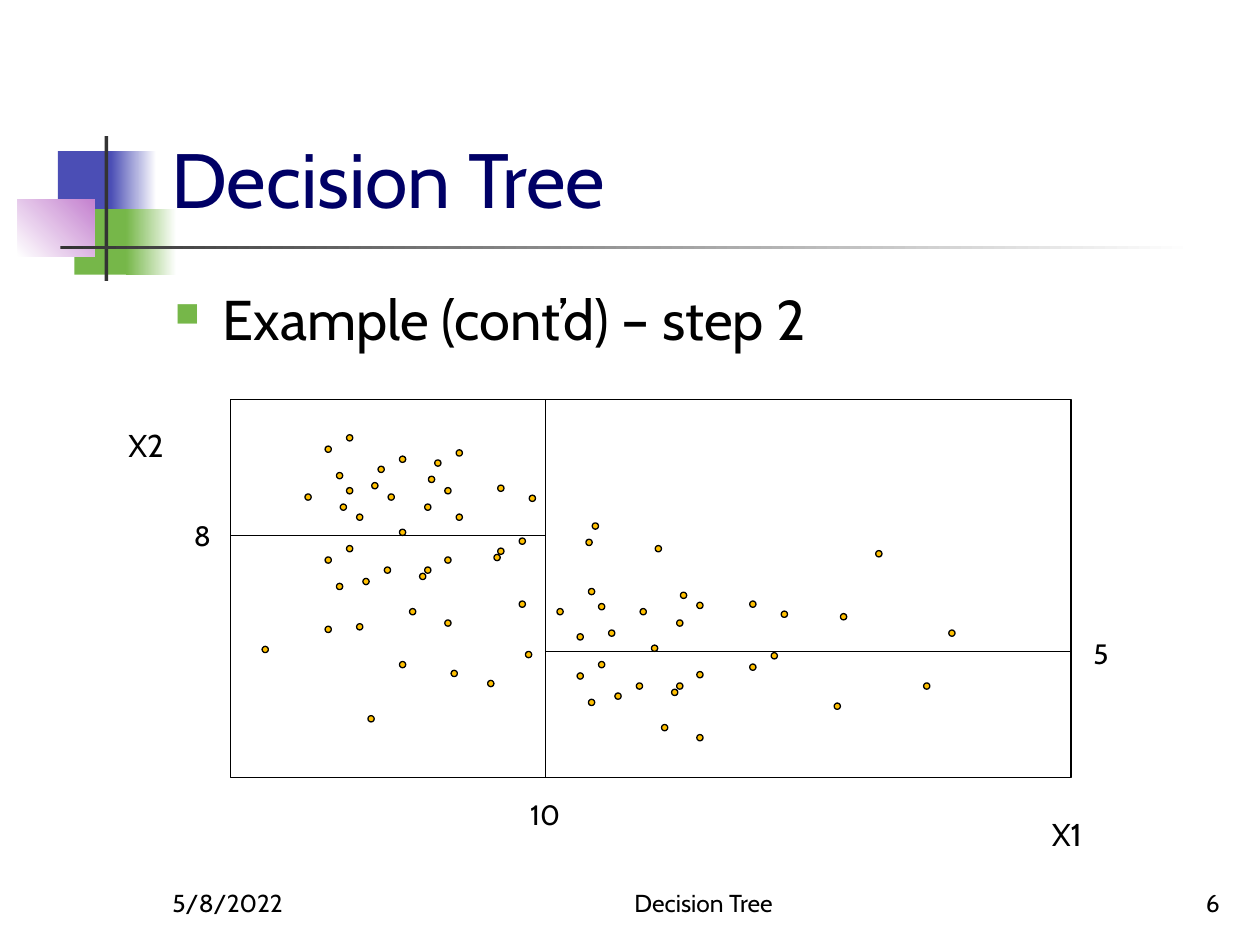
from lxml import etree
from pptx import Presentation
from pptx.dml.color import RGBColor
from pptx.enum.shapes import MSO_CONNECTOR, MSO_SHAPE
from pptx.enum.text import MSO_ANCHOR, MSO_AUTO_SIZE, PP_ALIGN
from pptx.oxml.ns import qn
from pptx.util import Inches, Pt

RECT, OVAL = MSO_SHAPE.RECTANGLE, MSO_SHAPE.OVAL
STRAIGHT = MSO_CONNECTOR.STRAIGHT
TOP, BOTTOM = MSO_ANCHOR.TOP, MSO_ANCHOR.BOTTOM
LEFT, CENTER, RIGHT = PP_ALIGN.LEFT, PP_ALIGN.CENTER, PP_ALIGN.RIGHT
FONT = "Cabin"
BLACK, WHITE, NAVY, GRAY = "000000", "FFFFFF", "000066", "333333"
BLUE, GREEN, PURPLE, AMBER = "4B4EB5", "76B749", "C481CF", "FFC000"
DOT = 0.05

# Samples by plot region, as offsets from the plot's top left corner
LEFT_UPPER = [
    (0.75, 0.37), (0.92, 0.28), (0.84, 0.58), (1.12, 0.66), (1.17, 0.53),
    (1.34, 0.45), (1.25, 0.75), (1.54, 0.83), (1.57, 0.61), (1.62, 0.48),
    (1.79, 0.4), (1.7, 0.7), (0.59, 0.75), (0.87, 0.83), (0.92, 0.7),
    (1, 0.91), (1.79, 0.91), (1.34, 1.03), (2.12, 0.68), (2.37, 0.76)]
LEFT_LOWER = [
    (0.75, 1.25), (0.92, 1.16), (0.84, 1.46), (0.75, 1.8), (1.54, 1.33),
    (1.7, 1.25), (1.5, 1.38), (1, 1.78), (1.05, 1.42), (1.22, 1.33),
    (1.42, 1.66), (1.7, 1.75), (1.09, 2.51), (1.34, 2.08), (1.75, 2.15),
    (2.04, 2.23), (0.25, 1.96), (2.12, 1.18), (2.29, 1.1), (2.09, 1.23),
    (2.29, 1.6), (2.34, 2)]
RIGHT_UPPER = [
    (2.82, 1.11), (2.87, 0.98), (4.84, 1.7), (5.12, 1.2), (2.84, 1.5),
    (3.37, 1.16), (3.25, 1.66), (3.54, 1.75), (3.57, 1.53), (3.7, 1.61),
    (2.59, 1.66), (2.75, 1.86), (2.92, 1.62), (3, 1.83), (5.7, 1.83),
    (3.34, 1.95), (4.12, 1.6), (4.37, 1.68)]
RIGHT_LOWER = [
    (2.75, 2.17), (2.92, 2.08), (2.84, 2.38), (3.54, 2.25), (3.7, 2.16),
    (3.5, 2.3), (3.05, 2.33), (3.22, 2.25), (3.42, 2.58), (3.7, 2.66),
    (4.12, 2.1), (4.29, 2.01), (4.79, 2.41), (5.5, 2.25)]


def rgb(value):
    """Turn a hex string into a colour."""
    return RGBColor.from_string(value)


def add_shape(s, kind, x, y, w, h, fill=None, line=None, to=None, angle=0):
    """Add a shape with a plain fill, or a gradient from fill to `to`."""
    sp = s.shapes.add_shape(kind, Inches(x), Inches(y), Inches(w), Inches(h))
    sp.shadow.inherit = False
    if to:
        sp.fill.gradient()
        sp.fill.gradient_angle = angle
        for stop, color in zip(sp.fill.gradient_stops, (fill, to)):
            stop.color.rgb = rgb(color)
    elif fill:
        sp.fill.solid()
        sp.fill.fore_color.rgb = rgb(fill)
    else:
        sp.fill.background()
    if line:
        sp.line.color.rgb = rgb(line)
        sp.line.width = Pt(0.75)
    else:
        sp.line.fill.background()
    return sp


def add_line(s, x1, y1, x2, y2):
    """Add a thin black split line."""
    line = s.shapes.add_connector(STRAIGHT, Inches(x1), Inches(y1),
                                  Inches(x2), Inches(y2))
    line.line.color.rgb = rgb(BLACK)
    line.line.width = Pt(0.75)
    etree.SubElement(line._element.spPr, qn("a:effectLst"))


def add_text(s, text, x, y, w, h, size, color=BLACK, align=LEFT, anchor=TOP,
             wrap=True):
    """Add one paragraph of text and return the paragraph."""
    tb = s.shapes.add_textbox(Inches(x), Inches(y), Inches(w), Inches(h))
    tf = tb.text_frame
    tf.word_wrap = wrap
    tf.auto_size = MSO_AUTO_SIZE.NONE if wrap else MSO_AUTO_SIZE.SHAPE_TO_FIT_TEXT
    tf.vertical_anchor = anchor
    p = tf.paragraphs[0]
    p.text = text
    p.alignment = align
    p.font.name = FONT
    p.font.size = Pt(size)
    p.font.color.rgb = rgb(color)
    return p


def add_bullet(p, color, percent):
    """Give a paragraph a square bullet with a hanging indent."""
    pPr = p._p.get_or_add_pPr()
    pPr.set("marL", str(Inches(0.38)))
    pPr.set("indent", str(-Inches(0.38)))
    p.space_before = Pt(6.4)
    clr = etree.Element(qn("a:buClr"))
    etree.SubElement(clr, qn("a:srgbClr"), val=color)
    size = etree.Element(qn("a:buSzPct"), val=str(percent * 1000))
    char = etree.Element(qn("a:buChar"), char="■")
    at = pPr.index(pPr.find(qn("a:defRPr")))
    pPr[at:at] = [clr, size, char]


def add_ornament(s, x, y):
    """Draw the coloured squares and crossing bars from their top left."""
    add_shape(s, RECT, x + 0.32, y + 0.12, 0.48, 0.52, BLUE)
    add_shape(s, RECT, x + 0.74, y + 0.12, 0.36, 0.52, BLUE, to=WHITE)
    add_shape(s, RECT, x + 0.45, y + 0.58, 0.46, 0.52, GREEN)
    add_shape(s, RECT, x + 0.86, y + 0.58, 0.4, 0.52, GREEN, to=WHITE)
    add_shape(s, RECT, x, y + 0.5, 0.61, 0.46, WHITE, to=PURPLE, angle=45)
    add_shape(s, RECT, x + 0.69, y, 0.03, 1.15, GRAY)
    add_shape(s, RECT, x + 0.34, y + 0.87, 9, 0.03, GRAY, to=WHITE)


def add_footer(s, y, h):
    """Place the date, the footer and the slide number."""
    for text, x, w, align in (("5/8/2022", 1.27, 2.08, LEFT),
                              ("Decision Tree", 4, 3.17, CENTER),
                              ("6", 7.7, 2.08, RIGHT)):
        add_text(s, text, x, y, w, h, 14, align=align, anchor=BOTTOM)


def add_plot(s, x, y, w, h):
    """Draw the split sample space with its labels and samples."""
    split_x, left_y, right_y = 2.5, 1.08, 2
    add_shape(s, RECT, x, y, w, h, line=BLACK)
    add_line(s, x + split_x, y, x + split_x, y + h)
    add_line(s, x, y + left_y, x + split_x, y + left_y)
    add_line(s, x + split_x, y + right_y, x + w, y + right_y)
    for text, dx, dy, tw, th, size in (
            ("X1", w - 0.25, h + 0.25, 0.49, 0.4, 18),
            ("X2", -0.91, 0.16, 0.49, 0.4, 18),
            ("10", split_x - 0.22, h + 0.11, 0.45, 0.37, 16),
            ("8", -0.39, left_y - 0.18, 0.32, 0.37, 16),
            ("5", w + 0.08, right_y - 0.17, 0.32, 0.37, 16)):
        add_text(s, text, x + dx, y + dy, tw, th, size, wrap=False)
    for dx, dy in LEFT_UPPER + LEFT_LOWER + RIGHT_UPPER + RIGHT_LOWER:
        add_shape(s, OVAL, x + dx, y + dy, DOT, DOT, AMBER, BLACK)


def build_slide(prs):
    """Lay out the whole slide."""
    s = prs.slides.add_slide(prs.slide_layouts[6])
    add_ornament(s, 0.14, 1.08)
    add_text(s, "Decision Tree", 1.26, 0.23, 8.52, 1.6, 44, NAVY, anchor=BOTTOM)
    p = add_text(s, "Example (cont’d) – step 2", 1.29, 2.21, 8.5, 4.5, 32)
    add_bullet(p, GREEN, 60)
    add_footer(s, 6.83, 0.5)
    add_plot(s, 1.83, 3.17, 6.67, 3)


prs = Presentation()
prs.slide_width, prs.slide_height = Inches(10), Inches(7.5)
build_slide(prs)
prs.save("out.pptx")
